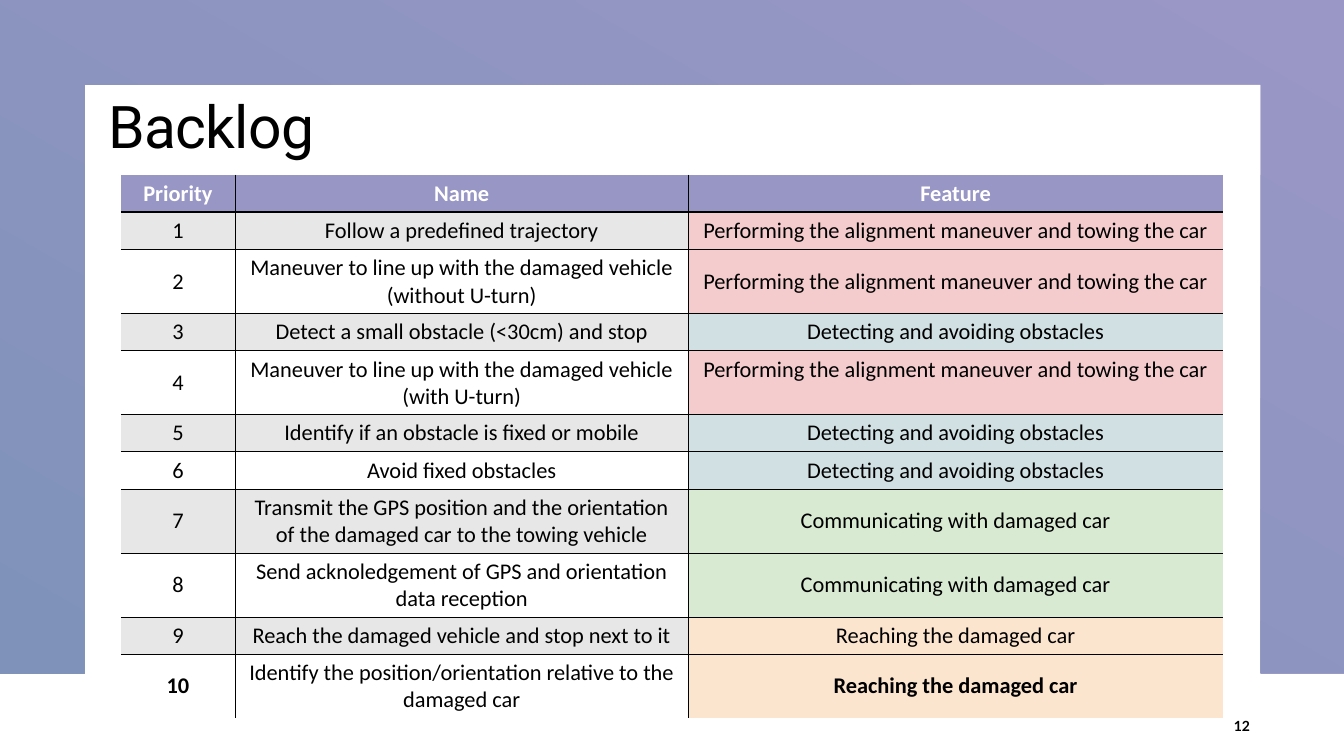
"""Build the Backlog slide: a prioritised feature table inside a gradient frame."""
from lxml import etree
from pptx import Presentation
from pptx.dml.color import RGBColor
from pptx.enum.text import MSO_ANCHOR, PP_ALIGN
from pptx.oxml.ns import qn
from pptx.util import Pt

BLACK = RGBColor(0x00, 0x00, 0x00)
WHITE = RGBColor(0xFF, 0xFF, 0xFF)
PURPLE = RGBColor(0x9A, 0x96, 0xC6)
BLUE = RGBColor(0x7F, 0x93, 0xBA)
HEADER = RGBColor(0x98, 0x96, 0xC5)
GREY = RGBColor(0xE7, 0xE7, 0xE7)

TOWING = "Performing the alignment maneuver and towing the car"
AVOIDING = "Detecting and avoiding obstacles"
COMMUNICATING = "Communicating with damaged car"
REACHING = "Reaching the damaged car"
FEATURE_FILLS = {
    TOWING: RGBColor(0xF5, 0xCC, 0xCD),
    AVOIDING: RGBColor(0xD1, 0xE0, 0xE3),
    COMMUNICATING: RGBColor(0xD9, 0xEA, 0xD3),
    REACHING: RGBColor(0xFC, 0xE5, 0xCE),
}
BACKLOG = [
    ("Follow a predefined trajectory", TOWING),
    ("Maneuver to line up with the damaged vehicle (without U-turn)", TOWING),
    ("Detect a small obstacle (<30cm) and stop", AVOIDING),
    ("Maneuver to line up with the damaged vehicle (with U-turn)", TOWING),
    ("Identify if an obstacle is fixed or mobile", AVOIDING),
    ("Avoid fixed obstacles", AVOIDING),
    ("Transmit the GPS position and the orientation of the damaged car to the towing vehicle", COMMUNICATING),
    ("Send acknoledgement of GPS and orientation data reception", COMMUNICATING),
    ("Reach the damaged vehicle and stop next to it", REACHING),
    ("Identify the position/orientation relative to the damaged car", REACHING),
]
COL_WIDTHS = [81.4, 324, 381.6]
SINGLE, DOUBLE = 26.7, 44.7
MAX_LINE = 50


def write(tf, text, align, **font):
    p = tf.paragraphs[0]
    p.alignment = align
    r = p.add_run()
    r.text = text
    r.font.color.rgb = font.pop("color")
    for name, value in font.items():
        setattr(r.font, name, value)
    return p, r


def set_border(cell, side, width):
    tc_pr = cell._tc.get_or_add_tcPr()
    ln = etree.SubElement(tc_pr, qn("a:ln" + side), w=str(Pt(width)))
    if width:
        fill = etree.SubElement(ln, qn("a:solidFill"))
        etree.SubElement(fill, qn("a:srgbClr"), val=str(BLACK))
    else:
        etree.SubElement(ln, qn("a:noFill"))


prs = Presentation()
prs.slide_width, prs.slide_height = Pt(960), Pt(540)
s = prs.slides.add_slide(prs.slide_layouts[6])

frame = [(960, 0), (960, 481), (900.5, 481), (900.5, 60.5), (60.5, 60.5), (60.5, 481), (0, 481)]
fb = s.shapes.build_freeform(0, 0)
fb.add_line_segments([(Pt(x), Pt(y)) for x, y in frame], close=True)
sp = fb.convert_to_shape()
sp.shadow.inherit = False
sp.line.fill.background()
sp.fill.gradient()
sp.fill.gradient_angle = 240
for stop, position, color in zip(sp.fill.gradient_stops, (0, 1), (PURPLE, BLUE)):
    stop.position = position
    stop.color.rgb = color

title = s.shapes.add_textbox(Pt(70.5), Pt(64), Pt(720), Pt(106))
title.text_frame.word_wrap = True
p, r = write(title.text_frame, "Backlog", PP_ALIGN.LEFT, size=Pt(42), name="Roboto", color=BLACK)
p.line_spacing = 0.95
r.font._element.set("spc", "-50")

rows = [("Priority", "Name", "Feature")]
rows += [(str(i), name, feature) for i, (name, feature) in enumerate(BACKLOG, 1)]
heights = [DOUBLE if len(name) > MAX_LINE else SINGLE for _, name, _ in rows]
last_row, last_col = len(rows) - 1, len(COL_WIDTHS) - 1
table = s.shapes.add_table(len(rows), len(COL_WIDTHS), Pt(86.4), Pt(124.8),
                           Pt(sum(COL_WIDTHS)), Pt(sum(heights))).table
for col, width in zip(table.columns, COL_WIDTHS):
    col.width = Pt(width)
for row, height in zip(table.rows, heights):
    row.height = Pt(height)

for i, texts in enumerate(rows):
    for j, text in enumerate(texts):
        cell = table.cell(i, j)
        borders = {
            "L": 0.5 if j > 0 else 0,
            "R": 0.5 if j < last_col else 0,
            "T": {0: 0, 1: 2.25}.get(i, 0.5),
            "B": {0: 2.25, last_row: 0}.get(i, 0.5),
        }
        for side, width in borders.items():
            set_border(cell, side, width)
        band = HEADER if i == 0 else GREY if i % 2 else WHITE
        cell.fill.solid()
        cell.fill.fore_color.rgb = FEATURE_FILLS.get(text, band)
        cell.vertical_anchor = MSO_ANCHOR.TOP if (i, j) == (4, last_col) else MSO_ANCHOR.MIDDLE
        write(cell.text_frame, text, PP_ALIGN.CENTER, size=Pt(16), name="Calibri",
              bold=i == 0 or (i == last_row and j != 1), color=BLACK if i else WHITE)

number = s.shapes.add_textbox(Pt(858), Pt(504), Pt(42), Pt(29))
number.text_frame.word_wrap = True
number.text_frame.vertical_anchor = MSO_ANCHOR.MIDDLE
write(number.text_frame, "12", PP_ALIGN.RIGHT, size=Pt(10), name="Lato", bold=True, color=BLACK)

prs.save("out.pptx")
